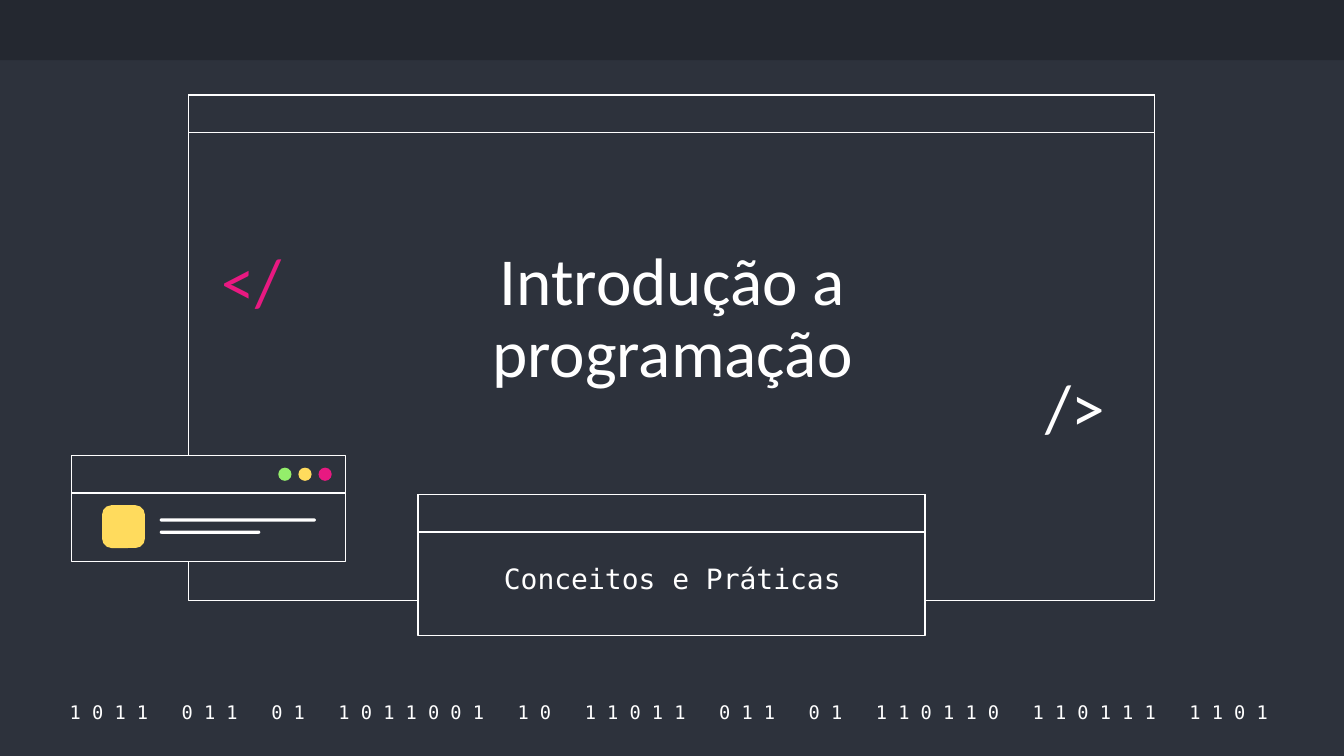
from pptx import Presentation
from pptx.dml.color import RGBColor
from pptx.enum.shapes import MSO_SHAPE as SHAPE
from pptx.enum.text import MSO_ANCHOR as ANCHOR, PP_ALIGN as ALIGN
from pptx.util import Cm, Pt

# Content: lengths in cm, text sizes in points
DARK, HEADER, WHITE = "2D323C", "242830", "FFFFFF"
PINK, YELLOW, GREEN = "E81981", "FFDB5D", "94EE6B"
SANS, MONO = "Calibri", "DejaVu Sans Mono"

BAR_H = 0.71
WINDOWS = [  # body box, top of title bar
    ((3.56, 1.8, 18.26, 9.55), 1.8),
    ((7.9, 9.35, 9.58, 2.67), 9.35),
    ((1.35, 9.32, 5.18, 1.3), 8.61),
]
CODE_LINES = [(3.02, 9.8, 2.95, 0.06), (3.02, 10.03, 1.9, 0.06)]
DOTS = [GREEN, YELLOW, PINK]
DOT_X, DOT_Y, DOT_SIZE, DOT_STEP = 5.26, 8.84, 0.25, 0.38

HEADING = {"size": 36, "font": SANS, "spacing": 0.9}
TEXTS = [
    ("</", (3.94, 4.55, 1.96, 1.68), {**HEADING, "color": PINK}),
    ("/>", (19.51, 6.93, 1.96, 1.68), HEADING),
    ("Introdução a programação", (5.74, 2.64, 13.94, 5.03),
     {**HEADING, "align": ALIGN.CENTER, "anchor": ANCHOR.BOTTOM}),
    ("Conceitos e Práticas", (8.48, 10.36, 8.46, 1.98),
     {"size": 15, "font": MONO, "align": ALIGN.CENTER, "anchor": ANCHOR.TOP}),
]
BINARY = "1011 011 01 1011001 10 11011 011 01 110110 110111 1101".split()
BINARY_BOX = (0.97, 13.21, 23.55, 0.51)
GROUP_GAP = 12  # extra points between binary groups


def rgb(color):
    return RGBColor.from_string(color)


def add_block(s, kind, box, fill, line=None):
    sp = s.shapes.add_shape(kind, *map(Cm, box))
    sp.shadow.inherit = False
    sp.fill.solid()
    sp.fill.fore_color.rgb = rgb(fill)
    if line:
        sp.line.color.rgb = rgb(line)
        sp.line.width = Pt(0.75)
    else:
        sp.line.fill.background()
    return sp


def add_run(p, text, size, font, color=WHITE):
    r = p.add_run()
    r.text = text
    for name, value in {"size": Pt(size), "name": font}.items():
        setattr(r.font, name, value)
    r.font.color.rgb = rgb(color)
    return r


def add_paragraph_box(s, box, align=None, anchor=ANCHOR.MIDDLE, spacing=None):
    tf = s.shapes.add_textbox(*map(Cm, box)).text_frame
    layout = {"word_wrap": True, "vertical_anchor": anchor}
    layout.update({f"margin_{side}": Cm(0.25)
                   for side in ("left", "top", "right", "bottom")})
    for name, value in layout.items():
        setattr(tf, name, value)
    p = tf.paragraphs[0]
    p.alignment, p.line_spacing = align, spacing
    return p


def main():
    prs = Presentation()
    prs.slide_width, prs.slide_height = Cm(25.4), Cm(14.29)
    s = prs.slides.add_slide(prs.slide_layouts[6])
    s.background.fill.solid()
    s.background.fill.fore_color.rgb = rgb(DARK)

    # Header band
    add_block(s, SHAPE.RECTANGLE, (0, 0, 25.4, 1.14), HEADER)

    # Binary footer: single spaces, widened between groups
    p = add_paragraph_box(s, BINARY_BOX, ALIGN.CENTER)
    for i, group in enumerate(BINARY):
        if i:
            gap = add_run(p, " ", 10, MONO)
            gap.font._element.set("spc", str(GROUP_GAP * 100))
        add_run(p, " ".join(group), 10, MONO)
    add_run(p, " ", 10, MONO)

    # Windows with title bars
    for body, bar_y in WINDOWS:
        x, _, w, _ = body
        for box in (body, (x, bar_y, w, BAR_H)):
            add_block(s, SHAPE.RECTANGLE, box, DARK, WHITE)

    # Code marks, title and subtitle
    for text, box, style in TEXTS:
        layout = {k: style[k] for k in ("align", "anchor", "spacing") if k in style}
        p = add_paragraph_box(s, box, **layout)
        add_run(p, text, style["size"], style["font"], style.get("color", WHITE))

    # Small window: icon, lines and buttons
    icon = add_block(s, SHAPE.ROUNDED_RECTANGLE, (1.93, 9.55, 0.81, 0.81), YELLOW)
    icon.adjustments[0] = 0.22
    for box in CODE_LINES:
        add_block(s, SHAPE.ROUNDED_RECTANGLE, box, WHITE).adjustments[0] = 0.5
    for i, color in enumerate(DOTS):
        box = (DOT_X + i * DOT_STEP, DOT_Y, DOT_SIZE, DOT_SIZE)
        add_block(s, SHAPE.OVAL, box, color)

    prs.save("out.pptx")


if __name__ == "__main__":
    main()
